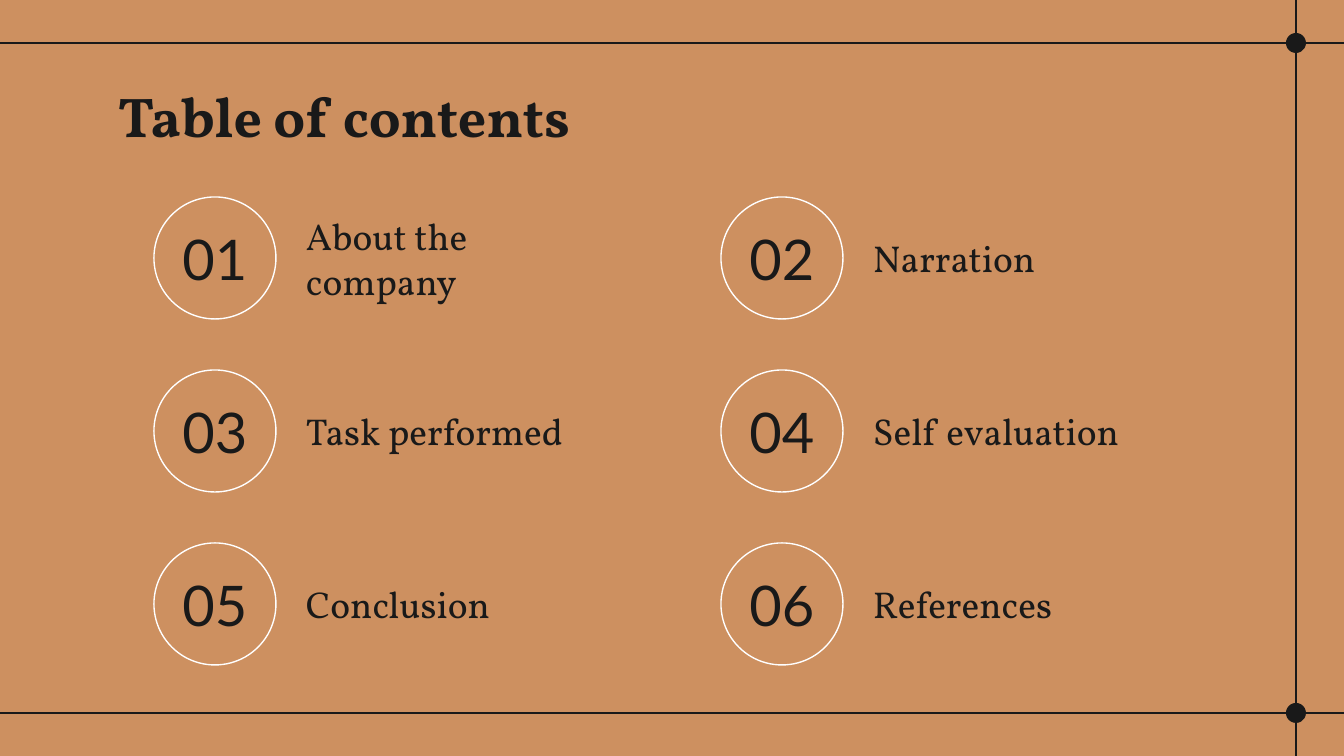
from lxml.etree import SubElement
from pptx import Presentation
from pptx.dml.color import RGBColor
from pptx.enum.shapes import MSO_CONNECTOR, MSO_SHAPE
from pptx.enum.text import MSO_ANCHOR, PP_ALIGN
from pptx.oxml.ns import qn
from pptx.util import Emu, Pt

SCALE = 914400 / 134.4
WIDTH, HEIGHT = 1344, 756
CLAY = RGBColor(0xCD, 0x90, 0x60)
INK = RGBColor(0x19, 0x19, 0x19)
WHITE = RGBColor(0xFF, 0xFF, 0xFF)
HEADING_FONT, NUMBER_FONT = "Vollkorn", "Lato"

RAIL_X = 1296
RAIL_YS = (43, 713)
COLUMNS = 2
COLUMN_STEP, ROW_STEP = 567, 173
TOPICS = (
    "About the company", "Narration",
    "Task performed", "Self evaluation",
    "Conclusion", "References",
)


def px(*lengths):
    """Turn pixel lengths into EMU."""
    return [Emu(round(n * SCALE)) for n in lengths]


def add_line(s, x1, y1, x2, y2):
    """Draw a thin dark line without a shadow."""
    line = s.shapes.add_connector(MSO_CONNECTOR.STRAIGHT, *px(x1, y1, x2, y2))
    line.line.color.rgb = INK
    line.line.width = Pt(0.75)
    SubElement(line._element.spPr, qn("a:effectLst"))


def add_circle(s, left, top, size, fill=None, outline=None):
    """Draw a circle that is either filled or outlined."""
    sp = s.shapes.add_shape(MSO_SHAPE.OVAL, *px(left, top, size, size))
    sp.shadow.inherit = False
    if fill is None:
        sp.fill.background()
    else:
        sp.fill.solid()
        sp.fill.fore_color.rgb = fill
    if outline is None:
        sp.line.fill.background()
    else:
        sp.line.color.rgb = outline
        sp.line.width = Pt(0.75)


def set_text(sp, text, font, size, bold=False, align=PP_ALIGN.LEFT, anchor=MSO_ANCHOR.MIDDLE):
    """Fill a shape with one formatted paragraph."""
    tf = sp.text_frame
    tf.text = text
    tf.word_wrap = True
    tf.vertical_anchor = anchor
    tf.margin_left, tf.margin_top, tf.margin_right, tf.margin_bottom = px(13, 13, 13, 13)
    p = tf.paragraphs[0]
    p.alignment = align
    p.line_spacing = 1.0
    p.space_before = Pt(0)
    r = p.runs[0]
    r.font.name = font
    r.font.size = Pt(size)
    r.font.bold = bold
    r.font.color.rgb = INK


def add_title(s, text):
    """Place and format the title placeholder."""
    title = s.shapes.title
    title.left, title.top, title.width, title.height = px(105, 69, 1136, 83)
    set_text(title, text, HEADING_FONT, 30, bold=True, anchor=MSO_ANCHOR.TOP)


def add_frame(s):
    """Draw the crossing border lines with a dot at each crossing."""
    add_line(s, RAIL_X, 0, RAIL_X, HEIGHT)
    for y in RAIL_YS:
        add_line(s, 0, y, WIDTH, y)
        add_circle(s, RAIL_X - 10, y - 10, 20, fill=INK)


def add_topic(s, index, topic):
    """Add a circled number and its topic at its place in the grid."""
    row, column = divmod(index, COLUMNS)
    x, y = column * COLUMN_STEP, row * ROW_STEP
    add_circle(s, 154 + x, 197 + y, 122, outline=WHITE)
    number = s.shapes.add_textbox(*px(148 + x, 222 + y, 134, 73))
    set_text(number, f"{index + 1:02d}", NUMBER_FONT, 30, align=PP_ALIGN.CENTER)
    label = s.shapes.add_textbox(*px(293 + x, 197 + y, 336, 122))
    set_text(label, topic, HEADING_FONT, 20)


def main():
    """Build the contents slide."""
    prs = Presentation()
    prs.slide_width, prs.slide_height = px(WIDTH, HEIGHT)
    s = prs.slides.add_slide(prs.slide_layouts[5])
    s.background.fill.solid()
    s.background.fill.fore_color.rgb = CLAY
    add_frame(s)
    add_title(s, "Table of contents")
    for index, topic in enumerate(TOPICS):
        add_topic(s, index, topic)
    prs.save("out.pptx")


if __name__ == "__main__":
    main()
